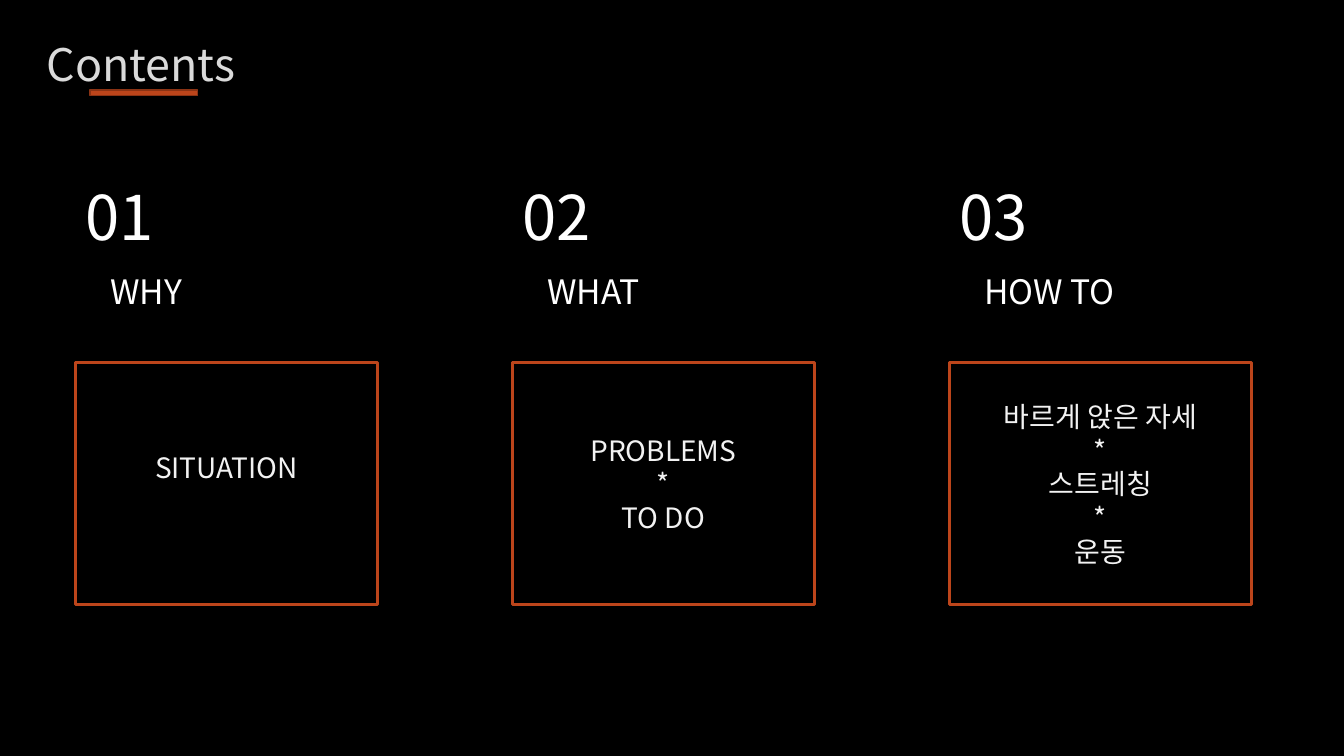
from pptx import Presentation
from pptx.dml.color import RGBColor
from pptx.enum.shapes import MSO_SHAPE as Shape
from pptx.enum.text import MSO_ANCHOR as Anchor, MSO_AUTO_SIZE as AutoSize, PP_ALIGN as Align
from pptx.oxml import parse_xml
from pptx.oxml.ns import nsdecls
from pptx.util import Cm, Pt

FONT = "Noto Sans CJK KR"
COLORS = {
    "background": "000000",
    "title": "DADADA",
    "title_outline": "404040",
    "heading": "FFFFFF",
    "topic": "F2F2F2",
    "accent": "BC451B",
    "accent_edge": "8B3314",
}
# Number, heading, topics, and the bottom inset that lifts the topics (cm)
SECTIONS = [
    ("01", "WHY", ["SITUATION"], 0.97),
    ("02", "WHAT", ["PROBLEMS", "*", "TO DO"], 0.13),
    ("03", "HOW TO", ["바르게 앉은 자세", "*", "스트레칭", "*", "운동"], 0.13),
]


def color(name):
    return RGBColor.from_string(COLORS[name])


def write(paragraph, text, size, color_name, align=Align.LEFT):
    paragraph.alignment = align
    run = paragraph.add_run()
    run.text = text
    run.font.size = Pt(size)
    run.font.name = FONT
    run.font.color.rgb = color(color_name)
    # East Asian typeface for the Korean wording
    run.font._element.append(parse_xml(f'<a:ea {nsdecls("a")} typeface="{FONT}"/>'))
    return run


def add_label(slide, left, top, width, height, text, size):
    label = slide.shapes.add_textbox(Cm(left), Cm(top), Cm(width), Cm(height))
    frame = label.text_frame
    frame.word_wrap = True
    frame.auto_size = AutoSize.SHAPE_TO_FIT_TEXT
    write(frame.paragraphs[0], text, size, "heading")


def add_rectangle(slide, left, top, width, height, edge, weight):
    rectangle = slide.shapes.add_shape(
        Shape.RECTANGLE, Cm(left), Cm(top), Cm(width), Cm(height))
    rectangle.shadow.inherit = False
    rectangle.line.color.rgb = color(edge)
    rectangle.line.width = Pt(weight)
    return rectangle


def add_title(slide, left, top, width, height):
    title = slide.shapes.title
    title.left, title.top, title.width, title.height = map(Cm, (left, top, width, height))
    frame = title.text_frame
    frame.vertical_anchor = Anchor.MIDDLE
    run = write(frame.paragraphs[0], "Contents", 32, "title", Align.CENTER)
    # Faint outline: 10 % opaque
    run.font._element.insert(0, parse_xml(
        f'<a:ln {nsdecls("a")} w="{Pt(0.75)}"><a:solidFill>'
        f'<a:srgbClr val="{COLORS["title_outline"]}"><a:alpha val="10000"/></a:srgbClr>'
        '</a:solidFill></a:ln>'))
    # Underline bar
    bar = add_rectangle(slide, left + 2.26, top + 1.83, 2.72, 0.15, "accent_edge", 1.25)
    bar.fill.solid()
    bar.fill.fore_color.rgb = color("accent")


def add_section(slide, left, top, width, number, heading, topics, bottom_inset):
    add_label(slide, left, top, 2.5, 2.14, number, 44)
    add_label(slide, left + 0.63, top + 2.31, 5.84, 1.28, heading, 24)
    # Framed topics
    topic_box = add_rectangle(slide, left, top + 4.75, width, 6.1, "accent", 2.25)
    topic_box.fill.background()
    frame = topic_box.text_frame
    frame.word_wrap = True
    frame.vertical_anchor = Anchor.MIDDLE
    frame.margin_bottom = Cm(bottom_inset)
    for index, topic in enumerate(topics):
        paragraph = frame.add_paragraph() if index else frame.paragraphs[0]
        write(paragraph, topic, 20, "topic", Align.CENTER)


def main():
    deck = Presentation()
    deck.slide_width, deck.slide_height = Cm(33.87), Cm(19.05)
    slide = deck.slides.add_slide(deck.slide_layouts[5])
    slide.background.fill.solid()
    slide.background.fill.fore_color.rgb = color("background")
    add_title(slide, 0, 0.43, 7.11, 2.34)
    for column, section in enumerate(SECTIONS):
        add_section(slide, 1.9 + 11.01 * column, 4.39, 7.62, *section)
    deck.save("out.pptx")


if __name__ == "__main__":
    main()
